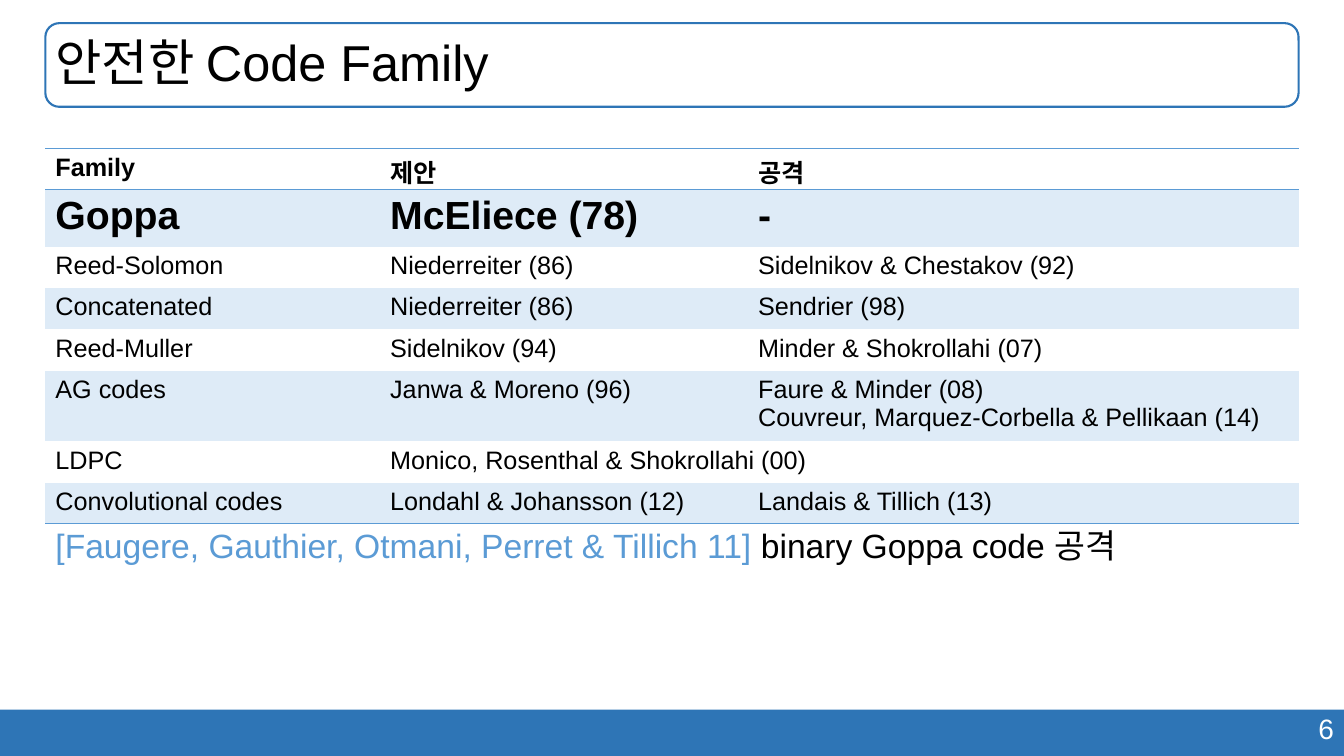
import pptx
import pptx.dml.color
import pptx.enum.shapes
import pptx.enum.text
import pptx.oxml
import pptx.oxml.ns
import pptx.util

RGBColor = pptx.dml.color.RGBColor
Inches = pptx.util.Inches
Align = pptx.enum.text.PP_ALIGN
Anchor = pptx.enum.text.MSO_ANCHOR
Shape = pptx.enum.shapes.MSO_SHAPE

BLACK = RGBColor(0, 0, 0)
WHITE = RGBColor(255, 255, 255)
DARK_BLUE = RGBColor(0x2E, 0x75, 0xB6)
BLUE = RGBColor(0x5B, 0x9B, 0xD5)
PALE_BLUE = RGBColor(0xDE, 0xEB, 0xF7)

FONT = "Arial"
PAGE_WIDTH, PAGE_HEIGHT = 13.33, 7.5
MARGIN, CONTENT_WIDTH = 0.45, 12.43
COLUMN_WIDTHS = (3.32, 3.65, 5.46)
ROW_HEIGHT = 0.41
NO_TABLE_STYLE = "{2D5ABB26-0587-4C30-8999-92F81FD0307C}"

# A None cell joins the cell on its left
FAMILIES = [
    ("Family", "제안", "공격"),
    ("Goppa", "McEliece (78)", "-"),
    ("Reed-Solomon", "Niederreiter (86)", "Sidelnikov & Chestakov (92)"),
    ("Concatenated", "Niederreiter (86)", "Sendrier (98)"),
    ("Reed-Muller", "Sidelnikov (94)", "Minder & Shokrollahi (07)"),
    ("AG codes", "Janwa & Moreno (96)",
     "Faure & Minder (08)\nCouvreur, Marquez-Corbella & Pellikaan (14)"),
    ("LDPC", "Monico, Rosenthal & Shokrollahi (00)", None),
    ("Convolutional codes", "Londahl & Johansson (12)", "Landais & Tillich (13)"),
]


def add_span(para, text, size=18, color=BLACK, bold=False):
    span = para.add_run()
    span.text = text
    span.font.name = FONT
    span.font.size = pptx.util.Pt(size)
    span.font.color.rgb = color
    span.font.bold = bold


def write(frame, text, align=Align.LEFT, line_spacing=None, **style):
    """Write each line of the text as a paragraph of the frame."""
    for index, line in enumerate(text.split("\n")):
        para = frame.add_paragraph() if index else frame.paragraphs[0]
        para.alignment = align
        para.line_spacing = line_spacing
        add_span(para, line, **style)


def place(shape, box):
    shape.left, shape.top, shape.width, shape.height = map(Inches, box)


def add_block(page, kind, box, fill=None, line=None):
    block = page.shapes.add_shape(kind, *map(Inches, box))
    block.shadow.inherit = False
    if fill is None:
        block.fill.background()
    else:
        block.fill.solid()
        block.fill.fore_color.rgb = fill
    if line is None:
        block.line.fill.background()
    else:
        block.line.color.rgb = line
        block.line.width = pptx.util.Pt(1.5)


def add_title(page, box, text):
    add_block(page, Shape.ROUNDED_RECTANGLE, box, line=DARK_BLUE)
    title = page.shapes.title
    place(title, box)
    title.text_frame.auto_size = pptx.enum.text.MSO_AUTO_SIZE.NONE
    title.text_frame.vertical_anchor = Anchor.MIDDLE
    write(title.text_frame, text, line_spacing=0.9, size=36)


def add_footer(page, box, number):
    left, top, width, height = box
    add_block(page, Shape.RECTANGLE, box, fill=DARK_BLUE)
    number_width = 3.9
    number_box = page.shapes.add_textbox(*map(Inches, (
        left + width - number_width, top - 0.03, number_width, height)))
    number_box.text_frame.word_wrap = True
    write(number_box.text_frame, number, align=Align.RIGHT, size=20, color=WHITE)


def add_border(cell, side):
    border = pptx.oxml.parse_xml(
        f'<a:{side} {pptx.oxml.ns.nsdecls("a")} w="12700"><a:solidFill>'
        f'<a:srgbClr val="{BLUE}"/></a:solidFill></a:{side}>')
    cell._tc.get_or_add_tcPr().insert(0, border)


def add_family_table(page, box):
    frame = page.shapes.add_table(len(FAMILIES), len(COLUMN_WIDTHS), *map(Inches, box))
    table = frame.table
    table.first_row = table.horz_banding = False
    table._tbl.tblPr.find(pptx.oxml.ns.qn("a:tableStyleId")).text = NO_TABLE_STYLE
    for column, width in zip(table.columns, COLUMN_WIDTHS):
        column.width = Inches(width)
    for row_index, family in enumerate(FAMILIES):
        table.rows[row_index].height = Inches(ROW_HEIGHT)
        for column_index, text in enumerate(family):
            cell = table.cell(row_index, column_index)
            # Bands on every second row
            if row_index % 2:
                cell.fill.solid()
                cell.fill.fore_color.rgb = PALE_BLUE
            else:
                cell.fill.background()
            # Rules around the header and under the last row
            if row_index in (0, len(FAMILIES) - 1):
                add_border(cell, "lnB")
            if row_index == 0:
                add_border(cell, "lnT")
            if text is None:
                table.cell(row_index, column_index - 1).merge(cell)
            else:
                write(cell.text_frame, text, size=28 if row_index == 1 else 18,
                      bold=row_index < 2)


def add_remark(page, box, citation, remark):
    body = page.placeholders[1]
    place(body, box)
    body.text_frame.auto_size = pptx.enum.text.MSO_AUTO_SIZE.NONE
    para = body.text_frame.paragraphs[0]
    properties = para._p.get_or_add_pPr()
    properties.set("marL", "0")
    properties.set("indent", "0")
    properties.append(pptx.oxml.parse_xml(f'<a:buNone {pptx.oxml.ns.nsdecls("a")}/>'))
    para.line_spacing = 0.9
    para.space_before = pptx.util.Pt(0)
    add_span(para, citation, size=24, color=BLUE)
    add_span(para, remark, size=24)


def main():
    deck = pptx.Presentation()
    deck.slide_width = Inches(PAGE_WIDTH)
    deck.slide_height = Inches(PAGE_HEIGHT)
    page = deck.slides.add_slide(deck.slide_layouts[1])
    add_footer(page, (0, 7.04, PAGE_WIDTH, 0.46), "6")
    add_title(page, (MARGIN, 0.23, CONTENT_WIDTH, 0.83), "안전한 Code Family")
    add_remark(page, (MARGIN, 5.2, CONTENT_WIDTH, 1.16),
               "[Faugere, Gauthier, Otmani, Perret & Tillich 11] ",
               "binary Goppa code 공격")
    add_family_table(page, (MARGIN, 1.47, CONTENT_WIDTH, ROW_HEIGHT * len(FAMILIES)))
    deck.save("out.pptx")


if __name__ == "__main__":
    main()
